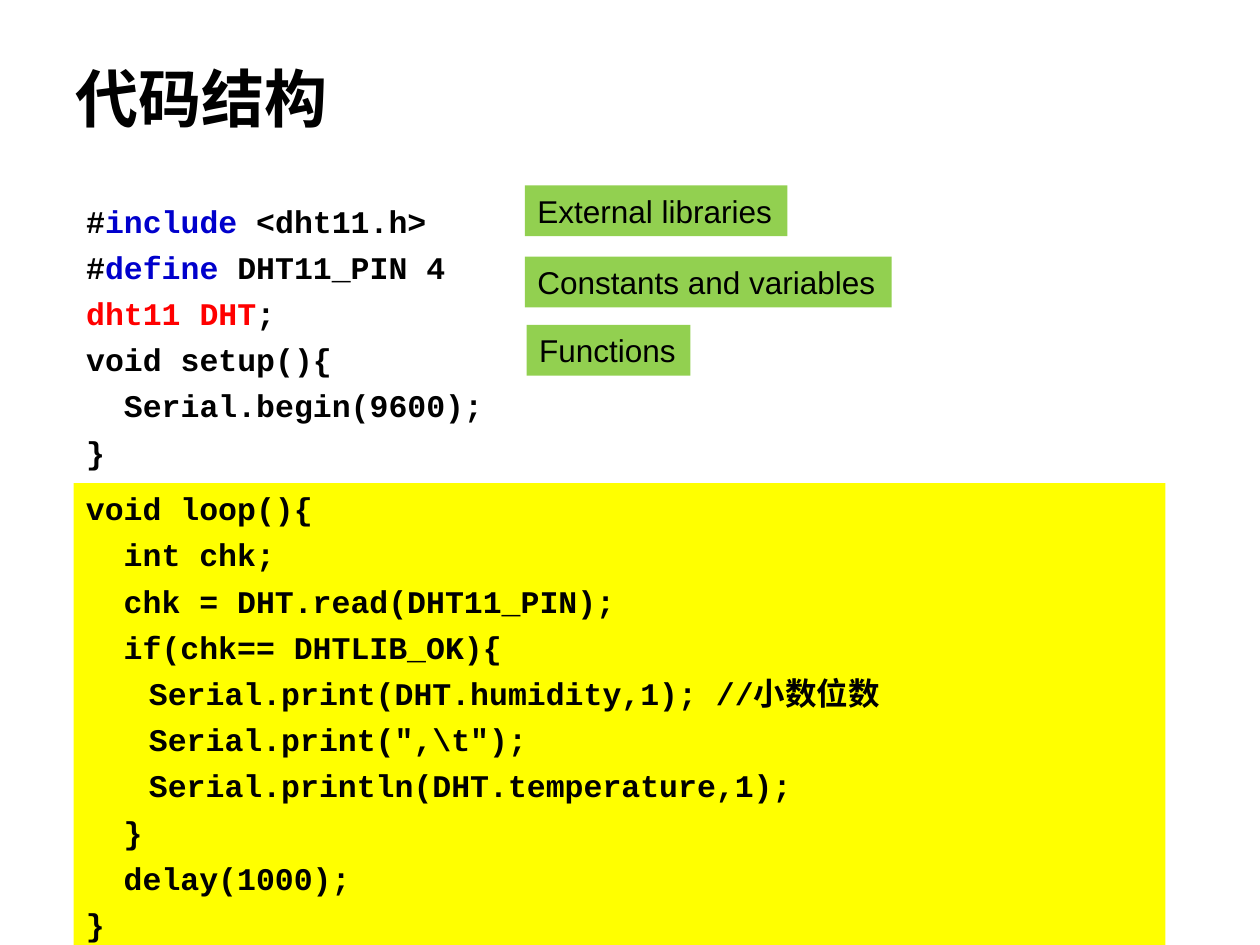
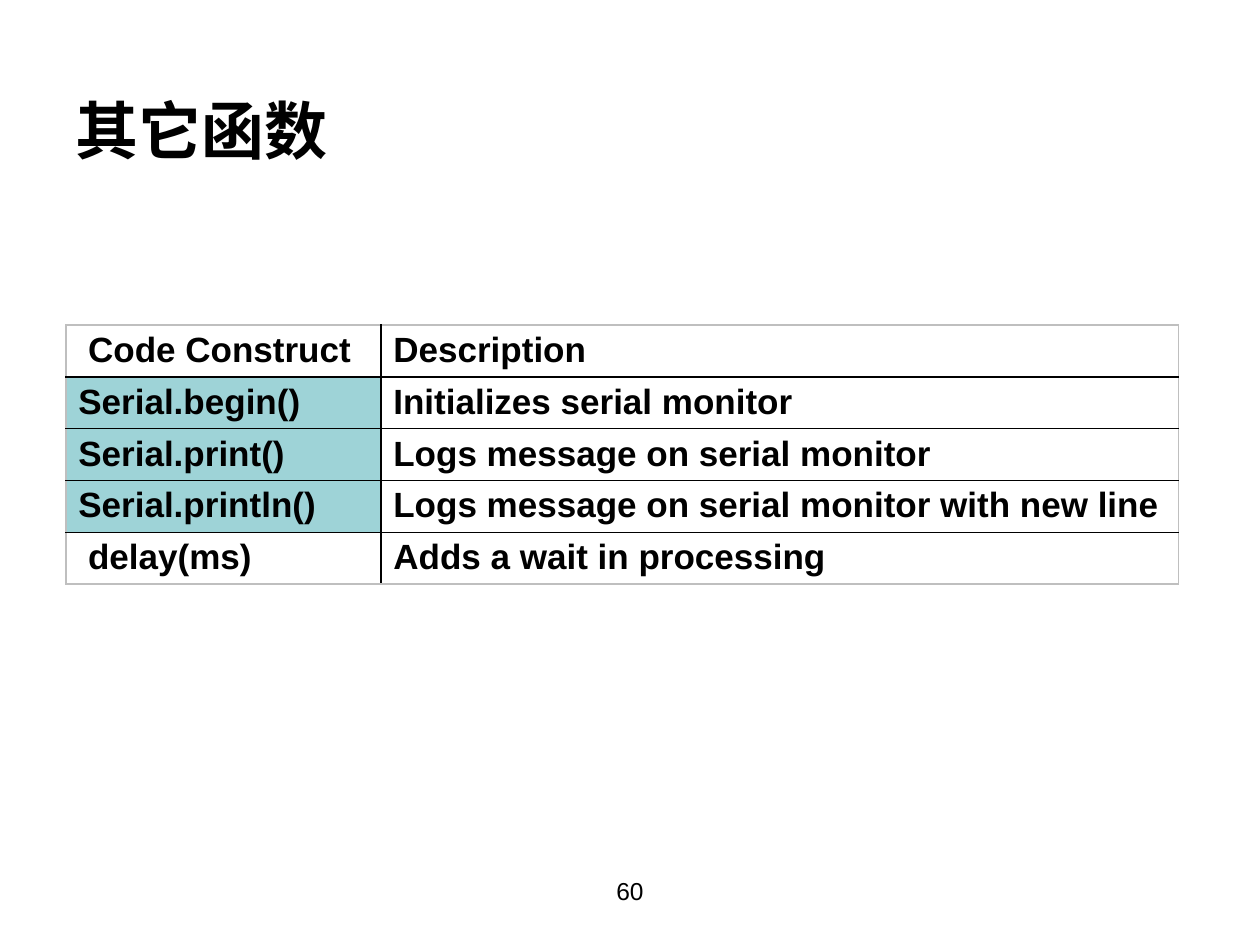
from lxml.etree import SubElement
from pptx import Presentation
from pptx.dml.color import RGBColor
from pptx.enum.text import MSO_ANCHOR, MSO_AUTO_SIZE, PP_ALIGN
from pptx.oxml import parse_xml
from pptx.oxml.ns import nsdecls, qn
from pptx.util import Pt

HEX = {
    "ink": "000000", "paper": "FFFFFF", "keyword": "0000CC", "type": "FF0000",
    "loop": "FFFF00", "label": "92D050", "serial": "9ED3D7", "frame": "BFBFBF",
}
SANS, MONO = "Arial", "Courier New"


def style(run, size, font=SANS, bold=False, color="ink"):
    run.font.size = Pt(size)
    run.font.name = font
    run.font.bold = bold
    run.font.color.rgb = RGBColor.from_string(HEX[color])


def write(frame, lines):
    """Fill a frame with code; each line is a list of (text, colour) parts."""
    for i, parts in enumerate(lines):
        para = frame.paragraphs[0] if i == 0 else frame.add_paragraph()
        para.space_before = Pt(4.8)
        props = para._p.get_or_add_pPr()
        props.set("marL", "0")
        props.set("indent", "0")
        SubElement(props, qn("a:buNone"))
        for text, color in parts:
            run = para.add_run()
            run.text = text
            style(run, 18, MONO, True, color)


deck = Presentation()
deck.slide_width, deck.slide_height = Pt(720), Pt(540)

# Slides and their titles
slides = []
for text, layout, top in [("代码结构", 1, 18), ("其它函数", 5, 36)]:
    slide = deck.slides.add_slide(deck.slide_layouts[layout])
    title = slide.shapes.title
    title.left, title.top, title.width, title.height = Pt(36), Pt(top), Pt(648), Pt(75.6)
    frame = title.text_frame
    frame.text = text
    frame.auto_size = MSO_AUTO_SIZE.NONE
    frame.vertical_anchor = MSO_ANCHOR.MIDDLE
    frame.paragraphs[0].alignment = PP_ALIGN.LEFT
    style(frame.paragraphs[0].runs[0], 36, bold=True)
    slides.append(slide)
code, calls = slides

# Code structure: setup above, loop below
body = code.placeholders[1]
body.left, body.top, body.width, body.height = Pt(42), Pt(111.6), Pt(624), Pt(356.4)
body.text_frame.auto_size = MSO_AUTO_SIZE.NONE
write(body.text_frame, [
    [("#", "ink"), ("include", "keyword"), (" <dht11.h>", "ink")],
    [("#", "ink"), ("define", "keyword"), (" DHT11_PIN 4", "ink")],
    [("dht11 DHT", "type"), (";", "ink")],
    [("void setup(){", "ink")],
    [("  Serial.begin(9600);", "ink")],
    [("}", "ink")],
])

LOOP = r"""void loop(){
  int chk;
  chk = DHT.read(DHT11_PIN);
  if(chk== DHTLIB_OK){
>Serial.print(DHT.humidity,1);>//小数位数
>Serial.print(",\t");
>Serial.println(DHT.temperature,1);
  }
  delay(1000);
}""".replace(">", "\t")
loop = code.shapes.add_textbox(Pt(42), Pt(276), Pt(624), Pt(264))
loop.fill.solid()
loop.fill.fore_color.rgb = RGBColor.from_string(HEX["loop"])
loop.text_frame.word_wrap = True
write(loop.text_frame, [[(line, "ink")] for line in LOOP.splitlines()])

for text, left, top, width in [
    ("External libraries", 300, 106, 150),
    ("Constants and variables", 300, 146.6, 209.5),
    ("Functions", 301, 185.6, 93.5),
]:
    label = code.shapes.add_textbox(Pt(left), Pt(top), Pt(width), Pt(29))
    label.fill.solid()
    label.fill.fore_color.rgb = RGBColor.from_string(HEX["label"])
    frame = label.text_frame
    frame.text = text
    frame.word_wrap = False
    frame.auto_size = MSO_AUTO_SIZE.SHAPE_TO_FIT_TEXT
    style(frame.paragraphs[0].runs[0], 18)

# Table of other functions
ROWS = [
    (" Code Construct", "Description"),
    ("Serial.begin()", "Initializes serial monitor"),
    ("Serial.print()", "Logs message on serial monitor"),
    ("Serial.println()", "Logs message on serial monitor with new line"),
    (" delay(ms)", "Adds a wait in processing"),
]
HIGH, last = 29.6, len(ROWS) - 1
table = calls.shapes.add_table(
    len(ROWS), 2, Pt(37.6), Pt(185.8), Pt(636), Pt(HIGH * len(ROWS))).table
table.columns[0].width, table.columns[1].width = Pt(180), Pt(456)
for r, row in enumerate(ROWS):
    table.rows[r].height = Pt(HIGH)
    for c, text in enumerate(row):
        cell = table.cell(r, c)
        cell.text_frame.text = text
        cell.margin_top = cell.margin_bottom = Pt(3.2)
        style(cell.text_frame.paragraphs[0].runs[0], 20, bold=True)
        cell.fill.solid()
        tint = "serial" if text.startswith("Serial") else "paper"
        cell.fill.fore_color.rgb = RGBColor.from_string(HEX[tint])
        outer = {"lnL": c == 0, "lnR": c == 1, "lnT": r == 0, "lnB": r == last}
        for i, (edge, rim) in enumerate(outer.items()):
            color = HEX["frame" if rim else "ink"]
            cell._tc.get_or_add_tcPr().insert(i, parse_xml(
                f'<a:{edge} {nsdecls("a")} w="{Pt(1)}"><a:solidFill>'
                f'<a:srgbClr val="{color}"/></a:solidFill></a:{edge}>'))

number = calls.shapes.add_textbox(Pt(246), Pt(496.8), Pt(228), Pt(37.4))
number.text_frame.word_wrap = True
number.text_frame.text = "60"
para = number.text_frame.paragraphs[0]
para.alignment = PP_ALIGN.CENTER
style(para.runs[0], 14)

deck.save("out.pptx")
